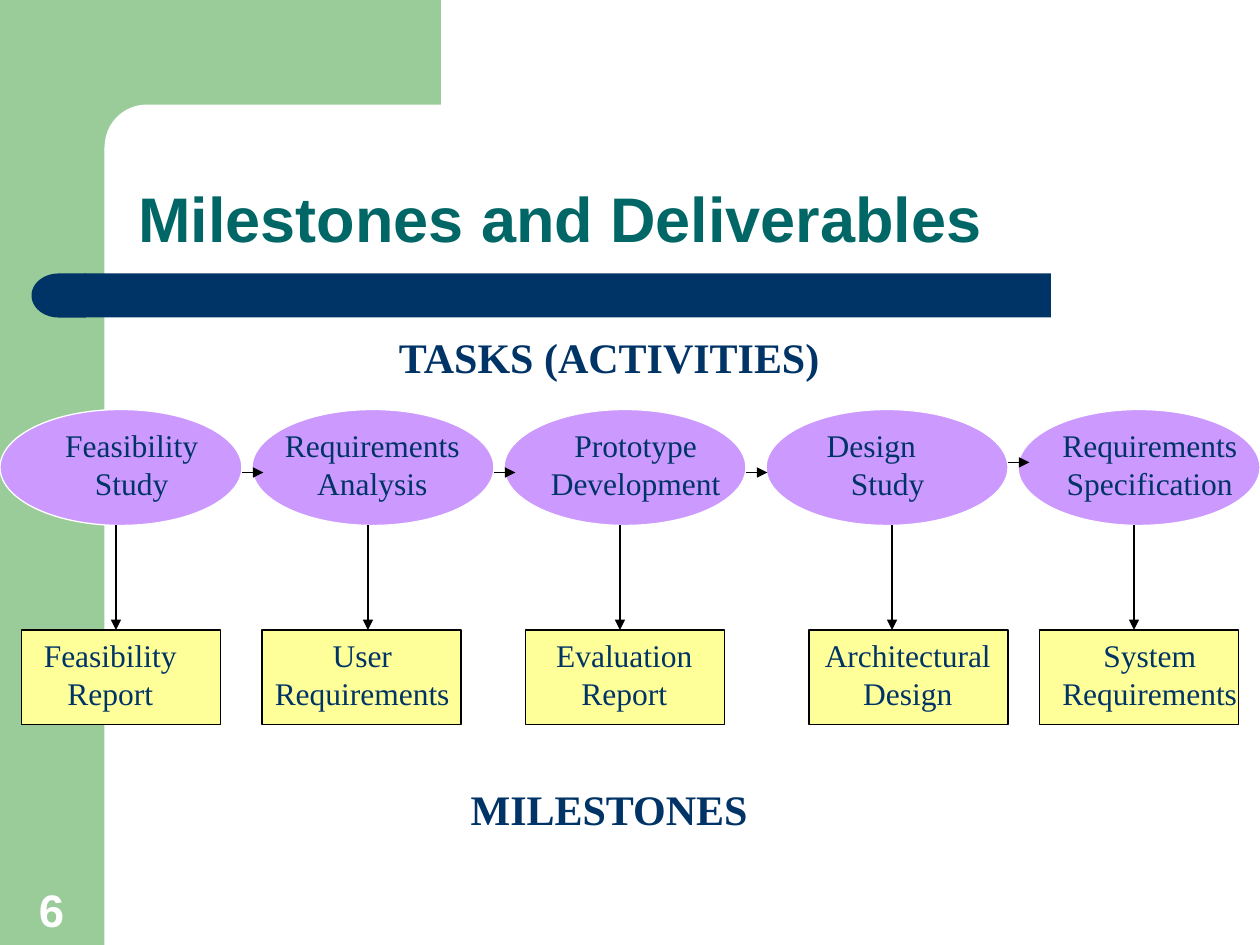
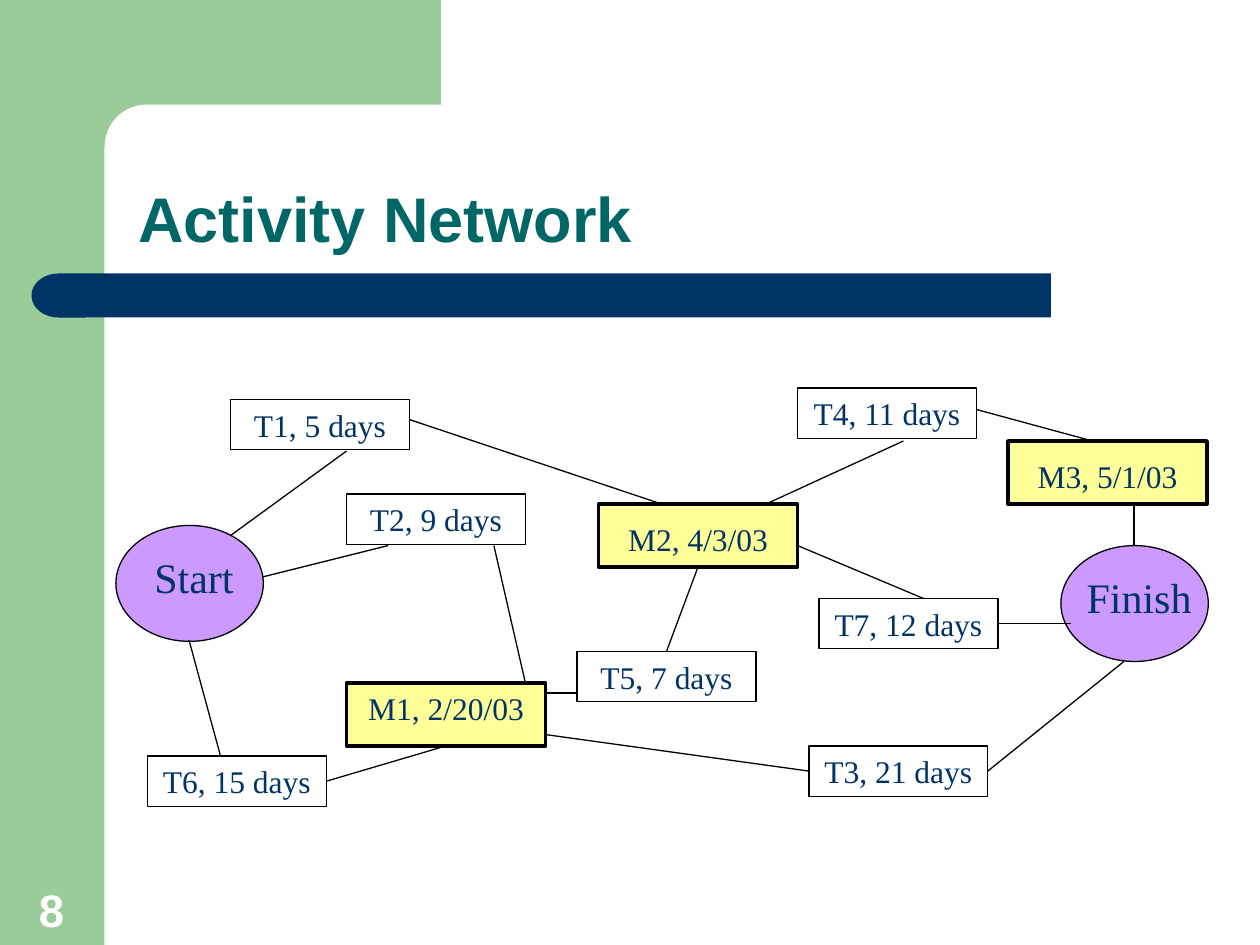
"""Build two project planning slides: milestones with deliverables, and an activity network."""
from dataclasses import dataclass

from lxml.etree import SubElement
from pptx import Presentation
from pptx.dml.color import RGBColor
from pptx.enum.shapes import MSO_CONNECTOR as Connector, MSO_SHAPE as Shape
from pptx.enum.text import MSO_ANCHOR as Anchor, PP_ALIGN as Align
from pptx.oxml.ns import qn
from pptx.util import Inches, Pt

TOP, LEFT, BOTTOM, RIGHT = range(4)


@dataclass(frozen=True)
class Theme:
    green: str = "99CC99"
    teal: str = "006666"
    navy: str = "003366"
    violet: str = "CC99FF"
    yellow: str = "FFFF99"
    white: str = "FFFFFF"
    black: str = "000000"
    heading_font: str = "Arial"
    body_font: str = "Times New Roman"
    title_size: int = 36
    number_size: int = 26
    large_size: int = 24
    label_size: int = 18
    thin: float = 0.75
    thick: float = 2


class Deck:
    def __init__(self, theme):
        self.theme = theme
        self.presentation = Presentation()
        self.presentation.slide_width = Inches(10)
        self.presentation.slide_height = Inches(7.5)
        self.slide = None

    def add_slide(self, title, number):
        theme = self.theme
        self.slide = self.presentation.slides.add_slide(self.presentation.slide_layouts[6])
        self.shape(Shape.RECTANGLE, (0, 0, 0.83, 7.5), theme.green)
        self.shape(Shape.RECTANGLE, (0.75, 0, 2.75, 1.17), theme.green)
        corner = self.shape(Shape.ROUNDED_RECTANGLE, (0.83, 0.83, 5.58, 0.67), theme.white)
        corner.adjustments[0] = 0.5
        self.shape(Shape.RECTANGLE, (0.67, 2.17, 7.67, 0.35), theme.navy)
        cap = self.shape(Shape.FLOWCHART_DELAY, (0.25, 2.17, 0.43, 0.35), theme.navy)
        cap.rotation = 180
        heading = {"name": theme.heading_font, "bold": True}
        self.label(number, (0.09, 6.94, 0.64, 0.54), anchor=Anchor.BOTTOM,
                   size=theme.number_size, color=theme.white, **heading)
        self.label(title, (1, 0.83, 8.75, 1.25), anchor=Anchor.BOTTOM, align=Align.LEFT,
                   spacing=0.9, size=theme.title_size, color=theme.teal, **heading)

    def shape(self, kind, box, fill=None, line=None, width=None):
        shape = self.slide.shapes.add_shape(kind, *map(Inches, box))
        shape.shadow.inherit = False
        if fill:
            shape.fill.solid()
            shape.fill.fore_color.rgb = RGBColor.from_string(fill)
        else:
            shape.fill.background()
        if line:
            shape.line.color.rgb = RGBColor.from_string(line)
            shape.line.width = Pt(width or self.theme.thin)
        else:
            shape.line.fill.background()
        return shape

    def label(self, text, box, **style):
        shape = self.slide.shapes.add_textbox(*map(Inches, box))
        self.set_text(shape, text, **style)

    def set_text(self, shape, text, anchor=Anchor.TOP, align=Align.CENTER, spacing=None,
                 top=0.05, last_indent=0, color=None, **font):
        frame = shape.text_frame
        frame_format = {"word_wrap": True, "vertical_anchor": anchor, "margin_top": Inches(top)}
        for name, value in frame_format.items():
            setattr(frame, name, value)
        frame.text = text
        font_format = {"name": self.theme.body_font, "size": self.theme.label_size,
                       "bold": False} | font
        font_format["size"] = Pt(font_format["size"])
        for paragraph in frame.paragraphs:
            paragraph.alignment = align
            paragraph.line_spacing = spacing
            for name, value in font_format.items():
                setattr(paragraph.runs[0].font, name, value)
            paragraph.runs[0].font.color.rgb = RGBColor.from_string(color or self.theme.navy)
        if last_indent:
            properties = frame.paragraphs[-1]._p.get_or_add_pPr()
            properties.set("marL", str(Inches(last_indent)))

    def connect(self, start, end, arrow=False):
        points = [(0, 0) if hasattr(place[0], "text_frame") else place for place in (start, end)]
        line = self.slide.shapes.add_connector(
            Connector.STRAIGHT, *(Inches(value) for point in points for value in point))
        for place, join in ((start, line.begin_connect), (end, line.end_connect)):
            if hasattr(place[0], "text_frame"):
                join(*place)
        line.line.color.rgb = RGBColor.from_string(self.theme.black)
        line.line.width = Pt(self.theme.thin)
        if arrow:
            SubElement(line.line._get_or_add_ln(), qn("a:tailEnd"), type="triangle")
        SubElement(line._element.spPr, qn("a:effectLst"))


def add_milestones(deck):
    theme = deck.theme
    deck.add_slide("Milestones and Deliverables", "6")
    for caption, top in (("TASKS (ACTIVITIES)", 2.58), ("MILESTONES", 6.17)):
        deck.label(caption, (3, top, 3.67, 0.5), size=theme.large_size, bold=True)
    columns = [
        ("Feasibility Study", 0, 0.17, 0, "Feasibility Report", 0.17, 0, 0.92),
        ("Requirements Analysis", 2, 2.08, 0, "User Requirements", 2.08, 2, 2.92),
        ("Prototype Development", 4, 4.17, 0, "Evaluation Report", 4.17, 4.08, 4.92),
        ("Design\nStudy", 6.08, 6.04, 0.26, "Architectural Design", 6.42, 6.33, 7.08),
        ("Requirements Specification", 8.08, 8.25, 0, "System Requirements", 8.25, 8.25, 9),
    ]
    for task, oval_x, task_x, indent, report, box_x, report_x, arrow_x in columns:
        deck.shape(Shape.OVAL, (oval_x, 3.25, 1.92, 0.92), theme.violet, theme.white)
        deck.label(task, (task_x, 3.33, 1.75, 0.7), last_indent=indent)
        deck.shape(Shape.RECTANGLE, (box_x, 5, 1.58, 0.75), theme.yellow, theme.black)
        deck.label(report, (report_x, 5, 1.75, 0.7))
        deck.connect((arrow_x, 4.17), (arrow_x, 5), arrow=True)
    for column, y in zip(columns, (3.75, 3.75, 3.75, 3.67)):
        oval_right = column[1] + 1.92
        deck.connect((oval_right, y), (oval_right + 0.17, y), arrow=True)


def add_network(deck):
    theme = deck.theme
    deck.add_slide("Activity Network", "8")
    for text, x, y, text_x, text_width in (("Start", 0.92, 4.17, 1.08, 0.92),
                                           ("Finish", 8.42, 4.33, 8.5, 1.08)):
        deck.shape(Shape.OVAL, (x, y, 1.17, 0.92), theme.violet, theme.black)
        deck.label(text, (text_x, y + 0.16, text_width, 0.5), size=theme.large_size)

    nodes = {}
    tasks = (("T1", "5 days", 1.83, 3.17), ("T2", "9 days", 2.75, 3.92),
             ("T3", "21 days", 6.42, 5.92), ("T4", "11 days", 6.33, 3.08),
             ("T5", "7 days", 4.58, 5.17), ("T6", "15 days", 1.17, 6),
             ("T7", "12 days", 6.5, 4.75))
    for name, duration, x, y in tasks:
        nodes[name] = deck.shape(Shape.RECTANGLE, (x, y, 1.42, 0.4), line=theme.black)
        deck.set_text(nodes[name], f"{name}, {duration}")
    milestones = (("M1", "2/20/03", 2.75, 5.42, 0.05), ("M2", "4/3/03", 4.75, 4, 0.13),
                  ("M3", "5/1/03", 8, 3.5, 0.13))
    for name, date, x, y, margin in milestones:
        nodes[name] = deck.shape(Shape.RECTANGLE, (x, y, 1.58, 0.5), theme.yellow,
                                 theme.black, theme.thick)
        deck.set_text(nodes[name], f"{name}, {date}", top=margin)

    links = (
        ((1.5, 5.08), (1.75, 6)),
        ((1.83, 4.25), (2.75, 3.58)),
        ((2.08, 4.58), (3.08, 4.33)),
        ((3.92, 4.33), (4.17, 5.42)),
        ((nodes["T6"], RIGHT), (nodes["M1"], BOTTOM)),
        ((4.33, 5.5), (4.58, 5.5)),
        ((nodes["T5"], TOP), (nodes["M2"], BOTTOM)),
        ((3.25, 3.33), (5.25, 4)),
        ((4.33, 5.83), (nodes["T3"], LEFT)),
        ((6.08, 4), (7.17, 3.5)),
        ((7.75, 3.25), (8.67, 3.5)),
        ((9, 4), (9, 4.33)),
        ((nodes["T7"], RIGHT), (8.5, 4.95)),
        ((6.33, 4.33), (7.33, 4.75)),
        ((nodes["T3"], RIGHT), (8.92, 5.25)),
    )
    for start, end in links:
        deck.connect(start, end)


def main():
    deck = Deck(Theme())
    add_milestones(deck)
    add_network(deck)
    deck.presentation.save("out.pptx")


if __name__ == "__main__":
    main()
